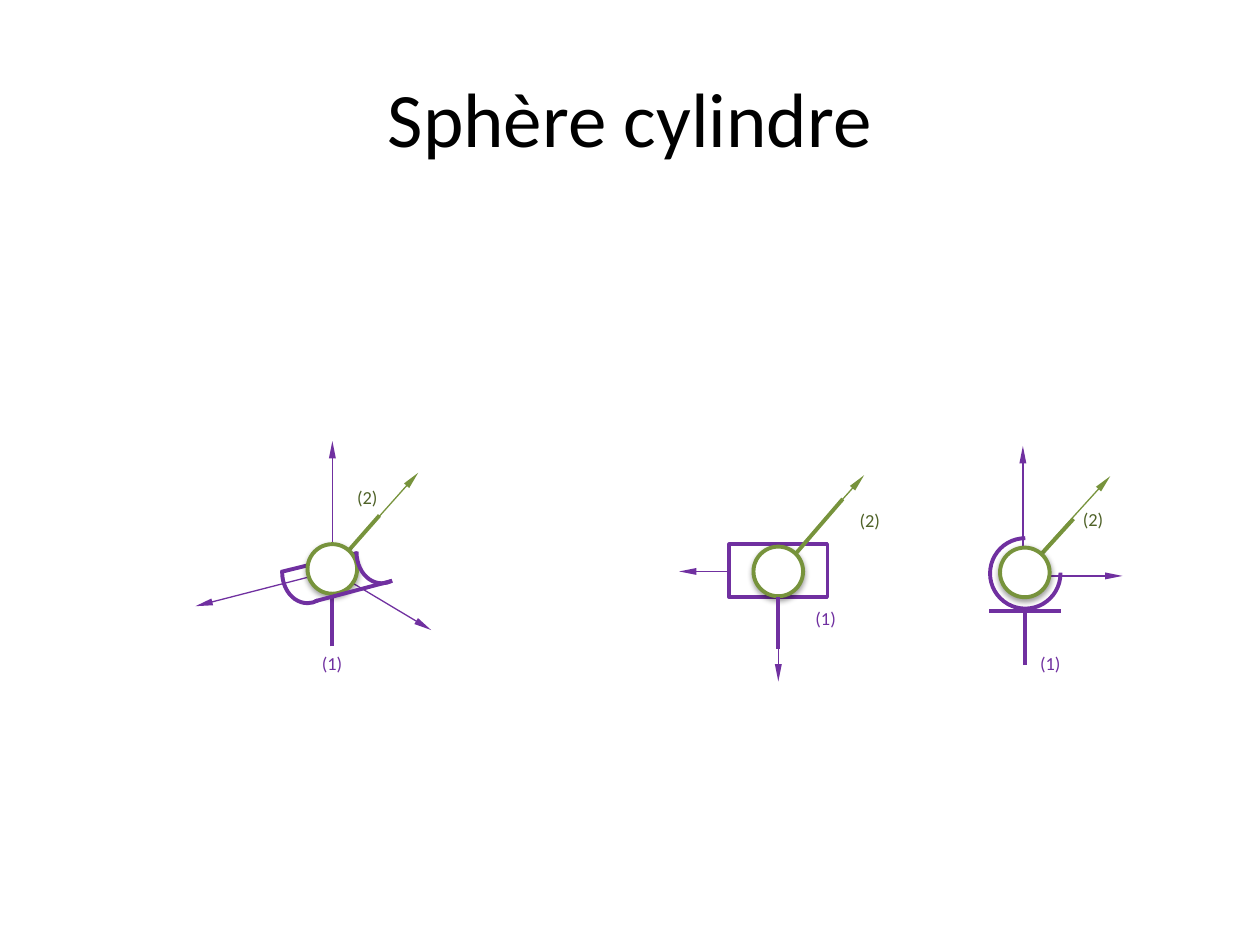
from dataclasses import dataclass

import pptx
import pptx.dml.color
import pptx.enum.shapes
import pptx.enum.text
import pptx.oxml
import pptx.oxml.ns
import pptx.util
from pptx.util import Cm

qn = pptx.oxml.ns.qn
Shape = pptx.enum.shapes.MSO_SHAPE
Point = tuple[float, float]


@dataclass(frozen=True)
class Theme:
    font: str = "Calibri"
    black: str = "000000"
    white: str = "FFFFFF"
    purple: str = "7030A0"
    green: str = "77933C"
    dark_green: str = "4F6228"
    title_size: float = 44
    label_size: float = 10.5
    thin: float = 0.75
    casing: float = 2
    thick: float = 2.25


THEME = Theme()
SPHERE_DIAMETER = 1.0
LABEL_SIZE = (0.99, 0.74)
CYLINDER_END = (1.02, 1.24)


# Pieces of a joint view: positions in cm from the centre of the sphere
@dataclass(frozen=True)
class Stroke:
    start: Point
    end: Point
    color: str = THEME.purple
    arrow: bool = False
    on_casing: bool = False


@dataclass(frozen=True)
class Label:
    text: str
    corner: Point
    color: str


@dataclass(frozen=True)
class Arc:
    corner: Point
    size: Point
    angles: Point


@dataclass(frozen=True)
class Casing:
    corner: Point
    size: Point


@dataclass(frozen=True)
class Sphere:
    corner: Point = (-SPHERE_DIAMETER / 2, -SPHERE_DIAMETER / 2)
    size: Point = (SPHERE_DIAMETER, SPHERE_DIAMETER)


@dataclass(frozen=True)
class View:
    center: Point
    pieces: tuple
    grouped: bool = False


def axis(start: Point, end: Point, color: str = THEME.purple) -> Stroke:
    return Stroke(start, end, color, arrow=True)


def solid_one(*corner: float) -> Label:
    return Label("(1)", corner, THEME.purple)


def solid_two(*corner: float) -> Label:
    return Label("(2)", corner, THEME.dark_green)


def cylinder_end(*corner: float) -> Arc:
    return Arc(corner, CYLINDER_END, (69.85, 182.45))


PERSPECTIVE = View((6.7, 11.47), (
    axis((0, 0.04), (0, -2.58)),
    Stroke((0, 1.56), (0, 0.52)),
    axis((0, 0.04), (1.99, 1.23)),
    axis((0, 0.04), (-2.76, 0.75)),
    Stroke((0, 0), (0.95, -1.08), THEME.green),
    solid_one(-0.5, 1.56),
    solid_two(0.21, -1.79),
    cylinder_end(-1.01, -0.55),
    axis((0, 0), (1.73, -1.94), THEME.green),
    Stroke((0.51, -0.32), (-1.04, 0.06)),
    Sphere(),
    Stroke((1.2, 0.24), (-0.35, 0.65)),
    cylinder_end(0.49, -0.95),
))

END_VIEW = View((20.66, 11.54), (
    axis((-0.04, 0.07), (1.97, 0.07)),
    Stroke((0, 1.87), (0, 0.75)),
    Stroke((0, 0), (0.98, -1.08), THEME.green),
    Arc((-0.7, -0.69), (1.42, 1.42), (358.57, 269.97)),
    axis((-0.04, 0.04), (-0.04, -2.55)),
    axis((-0.04, 0), (1.72, -1.94), THEME.green),
    Sphere(),
    solid_one(0.02, 1.49),
    solid_two(0.88, -1.43),
    Stroke((-0.72, 0.78), (0.73, 0.78)),
))

SIDE_VIEW = View((15.69, 11.52), (
    axis((0, 0), (-2, 0)),
    axis((0, 0), (0, 2.22)),
    solid_one(0.46, 0.6),
    solid_two(1.35, -1.39),
    axis((0, 0), (1.73, -1.94), THEME.green),
    Casing((-0.99, -0.55), (1.98, 1.07)),
    Sphere(),
    Stroke((0.36, -0.37), (1.3, -1.46), THEME.green),
    Stroke((0, 1.56), (0, 0.52), on_casing=True),
), grouped=True)


def rgb(color: str) -> pptx.dml.color.RGBColor:
    return pptx.dml.color.RGBColor.from_string(color)


def place(center: Point, offset: Point) -> tuple:
    return tuple(Cm(c + o) for c, o in zip(center, offset))


def set_line(line, color: str, width: float) -> None:
    line.color.rgb = rgb(color)
    line.width = pptx.util.Pt(width)


def write(frame, text: str, size: float, color: str) -> None:
    frame.text = text
    paragraph = frame.paragraphs[0]
    paragraph.alignment = pptx.enum.text.PP_ALIGN.CENTER
    font = paragraph.runs[0].font
    for name, value in {"name": THEME.font, "size": pptx.util.Pt(size)}.items():
        setattr(font, name, value)
    font.color.rgb = rgb(color)


def draw_stroke(shapes, stroke: Stroke, center: Point, casing) -> None:
    connector = shapes.add_connector(
        pptx.enum.shapes.MSO_CONNECTOR.STRAIGHT,
        *place(center, stroke.start), *place(center, stroke.end))
    set_line(connector.line, stroke.color, THEME.thin if stroke.arrow else THEME.thick)
    properties = connector.element.spPr
    if stroke.arrow:
        head = pptx.oxml.parse_xml(
            f'<a:tailEnd {pptx.oxml.ns.nsdecls("a")} type="triangle" w="sm" len="lg"/>')
        properties.find(qn("a:ln")).append(head)
    properties.append(pptx.oxml.parse_xml(f'<a:effectLst {pptx.oxml.ns.nsdecls("a")}/>'))
    if stroke.on_casing:
        connector.end_connect(casing, 2)


def draw_label(shapes, label: Label, center: Point) -> None:
    box = shapes.add_textbox(*place(center, label.corner), *map(Cm, LABEL_SIZE))
    frame_format = {"word_wrap": True,
                    "auto_size": pptx.enum.text.MSO_AUTO_SIZE.SHAPE_TO_FIT_TEXT}
    for name, value in frame_format.items():
        setattr(box.text_frame, name, value)
    write(box.text_frame, label.text, THEME.label_size, label.color)


def draw_outline(shapes, piece: Arc | Casing | Sphere, center: Point):
    preset, color, width = {
        Arc: (Shape.ARC, THEME.purple, THEME.thick),
        Casing: (Shape.RECTANGLE, THEME.purple, THEME.casing),
        Sphere: (Shape.OVAL, THEME.green, THEME.thick),
    }[type(piece)]
    outline = shapes.add_shape(preset, *place(center, piece.corner), *map(Cm, piece.size))
    outline.shadow.inherit = False
    set_line(outline.line, color, width)
    if isinstance(piece, Arc):
        outline.fill.background()
        for index, angle in enumerate(piece.angles):
            outline.adjustments[index] = angle * 0.6  # 60000 units a degree
    else:
        outline.fill.solid()
        outline.fill.fore_color.rgb = rgb(THEME.white)
    if isinstance(piece, Sphere):
        outline.element.spPr.find(qn("a:effectLst")).append(pptx.oxml.parse_xml(
            f'<a:outerShdw {pptx.oxml.ns.nsdecls("a")} blurRad="40000" dist="20000" '
            f'dir="5400000" rotWithShape="0"><a:srgbClr val="{THEME.black}">'
            '<a:alpha val="38000"/></a:srgbClr></a:outerShdw>'))
    return outline


def draw_view(slide, view: View) -> None:
    shapes = slide.shapes.add_group_shape().shapes if view.grouped else slide.shapes
    casing = None
    for piece in view.pieces:
        if isinstance(piece, Stroke):
            draw_stroke(shapes, piece, view.center, casing)
        elif isinstance(piece, Label):
            draw_label(shapes, piece, view.center)
        else:
            outline = draw_outline(shapes, piece, view.center)
            casing = outline if isinstance(piece, Casing) else casing


def main() -> None:
    deck = pptx.Presentation()
    deck.slide_width, deck.slide_height = Cm(25.4), Cm(19.05)
    slide = deck.slides.add_slide(deck.slide_layouts[5])

    # Title
    title = slide.shapes.title
    bounds = {"left": 1.27, "top": 0.76, "width": 22.86, "height": 3.18}
    for name, value in bounds.items():
        setattr(title, name, Cm(value))
    title.text_frame.vertical_anchor = pptx.enum.text.MSO_ANCHOR.MIDDLE
    write(title.text_frame, "Sphère cylindre", THEME.title_size, THEME.black)

    # Three views of the joint
    for view in (PERSPECTIVE, END_VIEW, SIDE_VIEW):
        draw_view(slide, view)

    deck.save("out.pptx")


if __name__ == "__main__":
    main()
